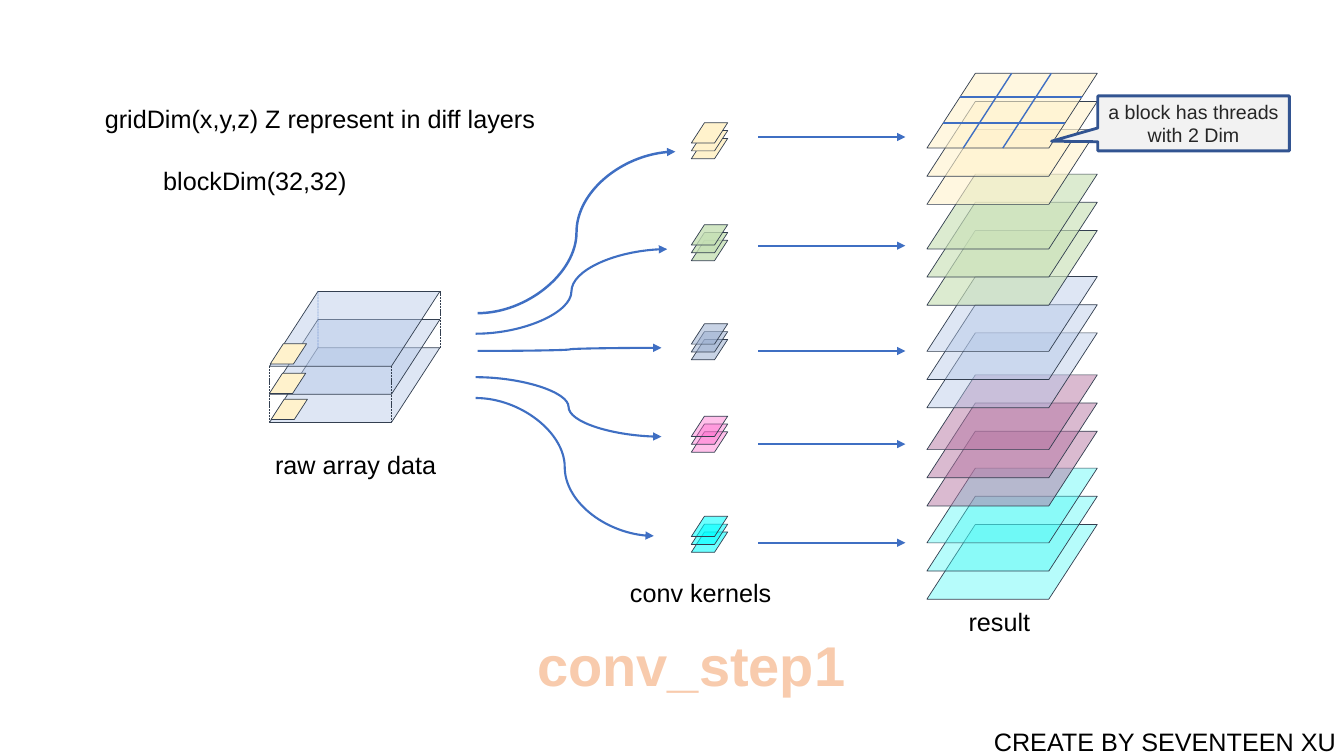
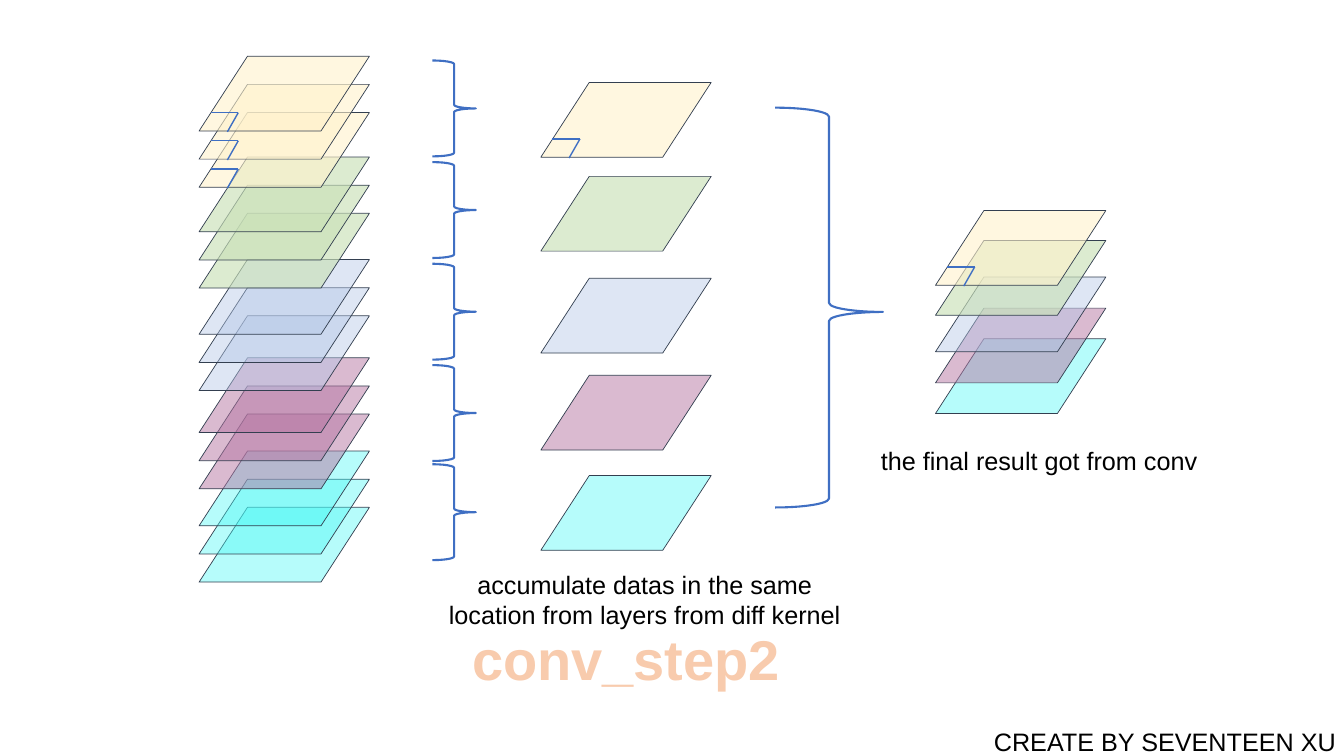
from collections import namedtuple

from lxml import etree
from pptx import Presentation
from pptx.dml.color import RGBColor
from pptx.enum.dml import MSO_LINE
from pptx.enum.shapes import MSO_CONNECTOR, MSO_SHAPE
from pptx.enum.text import MSO_ANCHOR, PP_ALIGN
from pptx.oxml.ns import qn
from pptx.util import Pt

PARALLELOGRAM = MSO_SHAPE.PARALLELOGRAM
RIGHT_BRACE = MSO_SHAPE.RIGHT_BRACE
CALLOUT = MSO_SHAPE.RECTANGULAR_CALLOUT
STRAIGHT, CURVE = MSO_CONNECTOR.STRAIGHT, MSO_CONNECTOR.CURVE
LEFT, CENTER = PP_ALIGN.LEFT, PP_ALIGN.CENTER
DASH = MSO_LINE.SQUARE_DOT

# Shared style
FONT = "Arial"
BLACK = RGBColor(0x00, 0x00, 0x00)
CHARCOAL = RGBColor(0x26, 0x26, 0x26)
OUTLINE = RGBColor(0x33, 0x3F, 0x50)
BLUE = RGBColor(0x3F, 0x6F, 0xC3)
DARK_BLUE = RGBColor(0x32, 0x54, 0x91)
PALE_GRAY = RGBColor(0xF2, 0xF2, 0xF2)
PEACH = RGBColor(0xF8, 0xCB, 0xAD)
CREAM = RGBColor(0xFF, 0xF2, 0xCC)
GREEN = RGBColor(0xCA, 0xE1, 0xB8)
KERNEL_GREEN = RGBColor(0xC5, 0xE0, 0xB4)
PERIWINKLE = RGBColor(0xB4, 0xC7, 0xE7)
KERNEL_SLATE = RGBColor(0x9C, 0xAF, 0xD0)
MAUVE = RGBColor(0xB6, 0x76, 0xA3)
KERNEL_PINK = RGBColor(0xFF, 0x66, 0xCC)
AQUA = RGBColor(0x45, 0xF9, 0xF5)
KERNEL_CYAN = RGBColor(0x00, 0xFF, 0xFF)
FOOTER = "CREATE BY SEVENTEEN XU"

# Geometry in points
SLIDE_SIZE = (960, 540)
SHEET = (121.7, 53.4)
KERNEL = (26, 14.5)
SLANT = 0.648
SHEAR = SLANT * SHEET[1]
LAYERS, LAYER_STEP, KERNEL_STEP = 3, 20.1, 5.6

# One channel per kernel: (colour, opacity) pairs, then vertical positions
Channel = namedtuple("Channel", "sheet kernel offset kernel_top arrow_y "
                                "brace_top sum_top final_top")
CHANNELS = [
    Channel((CREAM, 60), (CREAM, 100), 0, 87.7, 97.9, 43.2, 58.9, 150.4),
    Channel((GREEN, 65), (KERNEL_GREEN, 79), 72, 160.5, 175.5, 115.8, 126, 171.8),
    Channel((PERIWINKLE, 44), (KERNEL_SLATE, 55), 145.2, 231.3, 250.7, 188.4, 198.8, 197.9),
    Channel((MAUVE, 50), (KERNEL_PINK, 41), 215.4, 297.3, 317.2, 260.8, 268.1, 220.1),
    Channel((AQUA, 39), (KERNEL_CYAN, 58), 282, 368.8, 387.7, 331.6, 339.7, 242),
]

# Curves from the raw data to the kernels: start, end, width
FEEDS = [
    ((341.2, 223.7), (482.4, 108.3), 1.75),
    ((339.8, 238.4), (476.6, 178), 1.5),
    ((341.2, 250.7), (472.5, 248.5), 1.5),
    ((339.8, 269.4), (472.5, 311.9), 1.5),
    ((339.8, 284.3), (467, 382.8), 1.5),
]

# Captions: text, left, top, width
STEP1_CAPTIONS = [
    ("result", 691.9, 429.9, 127),
    ("raw array data", 196.5, 317.5, 146),
    ("conv kernels", 450, 409, 127),
    ("gridDim(x,y,z) Z represent in diff layers", 74.9, 70.6, 330),
    ("blockDim(32,32)", 116.6, 114.6, 146),
]
RAW = (192.5, 208.2)
RAW_PATCHES = [(193, 245.5), (192.4, 266.6), (193.6, 285.2)]
RESULT = (662.1, 52.4)
GRID_ROWS, GRID_COLUMNS = (16.8, 35.6), (25.9, 54.2)
STACK = (142.2, 40.2)
SUM_LEFT, FINAL_LEFT = 386.3, 668.2


def set_opacity(shape, percent):
    color = shape._element.spPr.find(".//" + qn("a:srgbClr"))
    etree.SubElement(color, qn("a:alpha")).set("val", str(percent * 1000))


def add_text(slide, lines, left, top, width, size=18, color=BLACK, bold=False, align=LEFT):
    height = len(lines) * size * 1.2 + 7.2
    frame = slide.shapes.add_textbox(Pt(left), Pt(top), Pt(width), Pt(height)).text_frame
    frame.word_wrap = True
    frame.margin_left = frame.margin_right = 0
    for index, line in enumerate(lines):
        paragraph = frame.paragraphs[0] if index == 0 else frame.add_paragraph()
        paragraph.alignment = align
        add_run(paragraph, line, size, color, bold)


def add_run(paragraph, text, size, color, bold=False):
    run = paragraph.add_run()
    run.text = text
    run.font.name, run.font.size, run.font.bold = FONT, Pt(size), bold
    run.font.color.rgb = color


def add_shape(slide, kind, left, top, size, line, width, fill=None, opacity=100, adjust=()):
    shape = slide.shapes.add_shape(kind, Pt(left), Pt(top), Pt(size[0]), Pt(size[1]))
    shape.shadow.inherit = False
    for index, value in enumerate(adjust):
        shape.adjustments[index] = value
    if fill is None:
        shape.fill.background()
    else:
        shape.fill.solid()
        shape.fill.fore_color.rgb = fill
        if opacity < 100:
            set_opacity(shape, opacity)
    shape.line.color.rgb = line
    shape.line.width = Pt(width)
    return shape


def add_sheet(slide, left, top, paint, size=SHEET):
    add_shape(slide, PARALLELOGRAM, left, top, size, OUTLINE, 0.5, *paint, adjust=[SLANT])


def add_layers(slide, left, top, paint, size=SHEET, step=LAYER_STEP):
    for layer in reversed(range(LAYERS)):
        add_sheet(slide, left, top + layer * step, paint, size)


def add_stack(slide, left, top):
    for channel in reversed(CHANNELS):
        add_layers(slide, left, top + channel.offset, channel.sheet)


def add_line(slide, start, end, width=1.0, color=BLUE, kind=STRAIGHT, arrow=False, dash=None):
    connector = slide.shapes.add_connector(kind, *(Pt(v) for v in (*start, *end)))
    connector.line.color.rgb = color
    connector.line.width = Pt(width)
    if dash is not None:
        connector.line.dash_style = dash
    properties = connector._element.spPr
    if arrow:
        etree.SubElement(properties.find(qn("a:ln")), qn("a:tailEnd")).set("type", "triangle")
    etree.SubElement(properties, qn("a:effectLst"))
    return connector


def add_corner_mark(slide, left, top):
    """Outline one cell in the lower left corner of a sheet."""
    corner = (left + 28, top + 40.3)
    add_line(slide, (left + 8.2, corner[1]), corner)
    add_line(slide, corner, (left + 20.2, top + 54))


def add_step(presentation, title, center, top):
    slide = presentation.slides.add_slide(presentation.slide_layouts[6])
    add_text(slide, [FOOTER], 709.9, 515.5, 250)
    add_text(slide, [title], center - 120, top, 240, 40, PEACH, True, CENTER)
    return slide


def build_step1(presentation):
    slide = add_step(presentation, "conv_step1", 493.8, 447.1)

    # Raw data block
    left, top = RAW
    add_layers(slide, left, top, (PERIWINKLE, 44))
    depth = (LAYERS - 1) * LAYER_STEP
    flat = SHEET[0] - SHEAR
    for x, y in [(0, SHEET[1]), (flat, SHEET[1]), (SHEET[0], 0)]:
        add_line(slide, (left + x, top + y), (left + x, top + y + depth), 0.5, OUTLINE, dash=DASH)
    hidden_edge = add_line(slide, (left + SHEAR, top), (left + SHEAR, top + depth), 0.5, dash=DASH)
    set_opacity(hidden_edge, 52)
    for patch in RAW_PATCHES:
        add_sheet(slide, *patch, (CREAM, 100), KERNEL)

    # Kernels, arrows and results
    for channel, (start, end, width) in zip(CHANNELS, FEEDS):
        add_layers(slide, 493.8, channel.kernel_top, channel.kernel, KERNEL, KERNEL_STEP)
        add_line(slide, start, end, width, kind=CURVE, arrow=True)
        add_line(slide, (541.5, channel.arrow_y), (646.7, channel.arrow_y), 1.5, arrow=True)
    add_stack(slide, *RESULT)

    # Block grid on the top result sheet
    left, top = RESULT
    for row in GRID_ROWS:
        x = left + SHEAR * (1 - row / SHEET[1])
        add_line(slide, (x, top + row), (x + flat, top + row))
    for column in GRID_COLUMNS:
        x = left + column
        add_line(slide, (x + SHEAR, top), (x, top + SHEET[1]))

    # Callout and captions
    callout = add_shape(slide, CALLOUT, 784.2, 68.5, (136.8, 39.3), DARK_BLUE, 2,
                        PALE_GRAY, adjust=[-0.742, 0.324])
    frame = callout.text_frame
    frame.word_wrap = True
    frame.vertical_anchor = MSO_ANCHOR.MIDDLE
    frame.paragraphs[0].alignment = CENTER
    add_run(frame.paragraphs[0], "a block has threads with 2 Dim", 14, CHARCOAL)
    for text, *place in STEP1_CAPTIONS:
        add_text(slide, [text], *place)


def build_step2(presentation):
    slide = add_step(presentation, "conv_step2", 447.1, 442.6)

    # Layer stack, per-channel sums and final result
    add_stack(slide, *STACK)
    for channel in reversed(CHANNELS):
        add_shape(slide, RIGHT_BRACE, 308.9, channel.brace_top, (31, 68.5), BLUE, 1.5)
        add_sheet(slide, SUM_LEFT, channel.sum_top, channel.sheet)
        add_sheet(slide, FINAL_LEFT, channel.final_top, channel.sheet)
    add_shape(slide, RIGHT_BRACE, 553.7, 76.9, (77, 285.6), BLUE, 1.5, adjust=[0.083, 0.511])

    # The same cell marked at each stage
    for layer in range(LAYERS):
        add_corner_mark(slide, STACK[0], STACK[1] + layer * LAYER_STEP)
    add_corner_mark(slide, SUM_LEFT, CHANNELS[0].sum_top)
    add_corner_mark(slide, FINAL_LEFT, CHANNELS[0].final_top)

    # Captions
    add_text(slide, ["the final result got from conv"], 629.2, 314.6, 257)
    add_text(slide, ["accumulate datas in the same", "location from layers from diff kernel"],
             310.5, 403.3, 300, align=CENTER)


def main():
    presentation = Presentation()
    presentation.slide_width, presentation.slide_height = (Pt(v) for v in SLIDE_SIZE)
    build_step1(presentation)
    build_step2(presentation)
    presentation.save("out.pptx")


if __name__ == "__main__":
    main()
